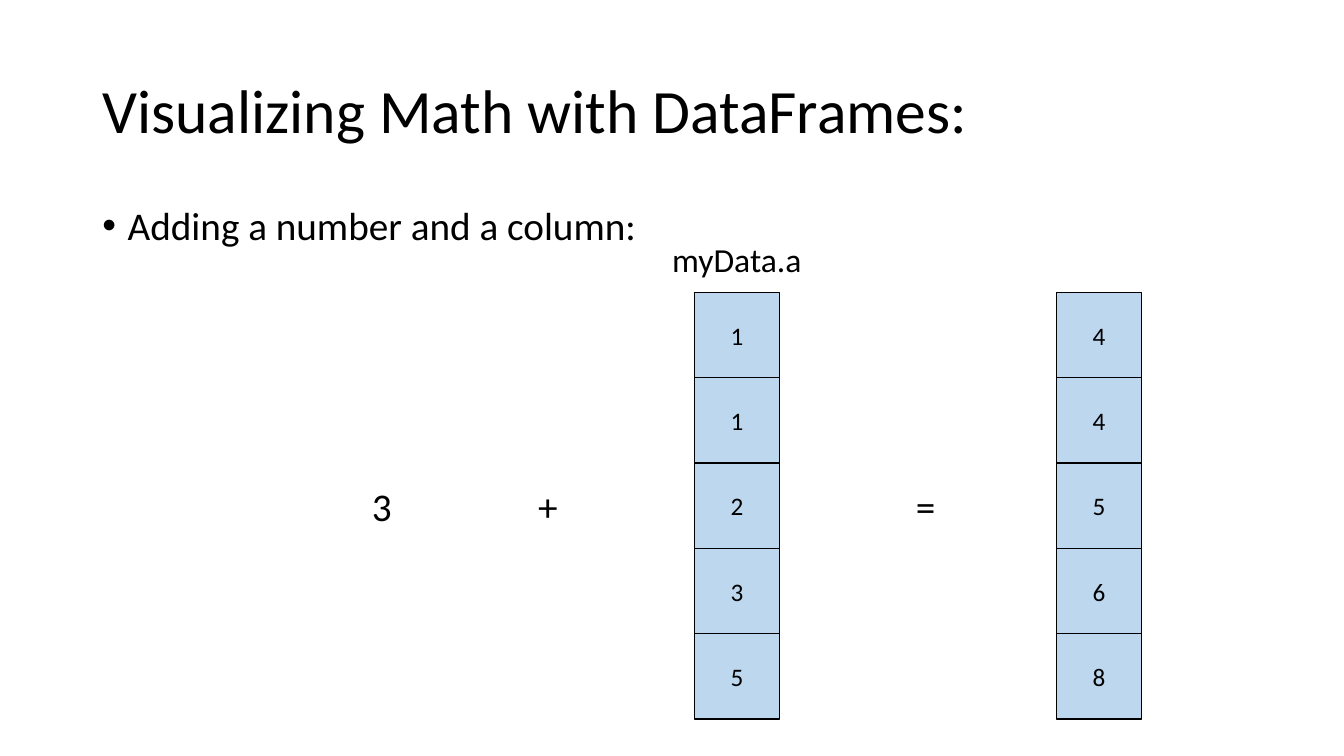
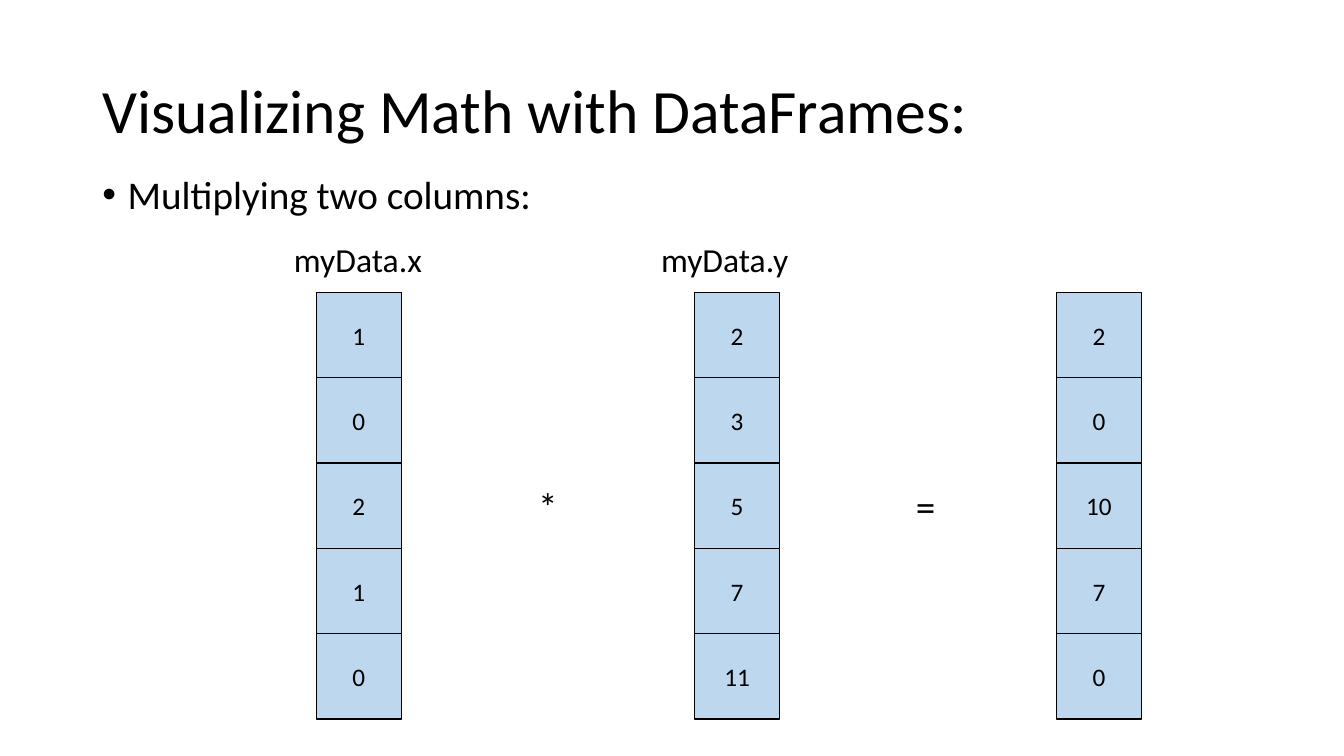
from lxml import etree
from pptx import Presentation
from pptx import util as u
from pptx.dml.color import RGBColor
from pptx.enum import shapes, text
from pptx.oxml.ns import qn

BLACK, CELL_BLUE = "000000", "BDD7EE"
FONT = "Calibri"
TITLE = "Visualizing Math with DataFrames:"
CELL_SIZE, COLUMN_TOP = 2.15, 7.37
LABEL_TOP, LABEL_HEIGHT = 5.89, 1.27
SYMBOL_TOP, SYMBOL_WIDTH, SYMBOL_HEIGHT = 12.04, 1.02, 1.45
LEFT_COLUMN, MIDDLE_COLUMN, RESULT_COLUMN = 7.97, 17.5, 26.62
NUMBER_LEFT, OPERATOR_LEFT, EQUALS_LEFT = 9.12, 13.31, 22.83

# Columns are (left, values); labels are (text, left, width); symbols are (text, left).
SLIDES = [
    {
        "bullet": "Adding a number and a column:",
        "bullet_top": 5.08,
        "columns": [(MIDDLE_COLUMN, [1, 1, 2, 3, 5]), (RESULT_COLUMN, [4, 4, 5, 6, 8])],
        "labels": [("myData.a", 16.69, 3.81)],
        "symbols": [("3", NUMBER_LEFT), ("+", OPERATOR_LEFT), ("=", EQUALS_LEFT)],
    },
    {
        "bullet": "Multiplying two columns:",
        "bullet_top": 4.29,
        "columns": [
            (LEFT_COLUMN, [1, 0, 2, 1, 0]),
            (MIDDLE_COLUMN, [2, 3, 5, 7, 11]),
            (RESULT_COLUMN, [2, 0, 10, 7, 0]),
        ],
        "labels": [("myData.x", 7.16, 3.76), ("myData.y", 16.41, 3.73)],
        "symbols": [("*", OPERATOR_LEFT), ("=", EQUALS_LEFT)],
    },
]

TITLE_FORMAT = {"line_spacing": 0.9}
BULLET_FORMAT = {"line_spacing": 0.9, "space_before": u.Pt(10)}
CELL_FORMAT = {"alignment": text.PP_ALIGN.CENTER}


def color(hex_string):
    return RGBColor.from_string(hex_string)


def write(shape, words, size, wrap=True, anchor=text.MSO_ANCHOR.TOP, **paragraph_format):
    """Put one formatted paragraph into the shape and return it."""
    frame = shape.text_frame
    frame.word_wrap = wrap
    frame.vertical_anchor = anchor
    paragraph = frame.paragraphs[0]
    for name, value in paragraph_format.items():
        setattr(paragraph, name, value)
    run = paragraph.add_run()
    run.text = words
    for name, value in {"name": FONT, "size": u.Pt(size)}.items():
        setattr(run.font, name, value)
    run.font.color.rgb = color(BLACK)
    return paragraph


presentation = Presentation()
presentation.slide_width = u.Cm(33.87)
presentation.slide_height = u.Cm(19.05)

for content in SLIDES:
    slide = presentation.slides.add_slide(presentation.slide_layouts[6])

    title = slide.shapes.add_textbox(u.Cm(2.33), u.Cm(1.01), u.Cm(29.21), u.Cm(3.68))
    write(title, TITLE, 44, anchor=text.MSO_ANCHOR.MIDDLE, **TITLE_FORMAT)

    body = slide.shapes.add_textbox(
        u.Cm(2.33), u.Cm(content["bullet_top"]), u.Cm(29.21), u.Cm(12.09)
    )
    paragraph = write(body, content["bullet"], 28, **BULLET_FORMAT)
    properties = paragraph._p.get_or_add_pPr()
    indent = u.Cm(0.64)
    properties.set("marL", str(indent))
    properties.set("indent", str(-indent))
    etree.SubElement(properties, qn("a:buFont"), typeface="Arial")
    etree.SubElement(properties, qn("a:buChar"), char="•")

    for left, values in content["columns"]:
        for row, value in enumerate(values):
            cell = slide.shapes.add_shape(
                shapes.MSO_SHAPE.FLOWCHART_PROCESS,
                u.Cm(left), u.Cm(COLUMN_TOP + row * CELL_SIZE),
                u.Cm(CELL_SIZE), u.Cm(CELL_SIZE),
            )
            cell.shadow.inherit = False
            cell.fill.solid()
            cell.fill.fore_color.rgb = color(CELL_BLUE)
            cell.line.color.rgb = color(BLACK)
            cell.line.width = u.Pt(1)
            write(cell, str(value), 18, anchor=text.MSO_ANCHOR.MIDDLE, **CELL_FORMAT)

    captions = [
        (words, left, LABEL_TOP, width, LABEL_HEIGHT, 24)
        for words, left, width in content["labels"]
    ] + [
        (words, left, SYMBOL_TOP, SYMBOL_WIDTH, SYMBOL_HEIGHT, 28)
        for words, left in content["symbols"]
    ]
    for words, left, top, width, height, size in captions:
        caption = slide.shapes.add_textbox(u.Cm(left), u.Cm(top), u.Cm(width), u.Cm(height))
        write(caption, words, size, wrap=False)
        caption.text_frame.auto_size = text.MSO_AUTO_SIZE.SHAPE_TO_FIT_TEXT

presentation.save("out.pptx")
